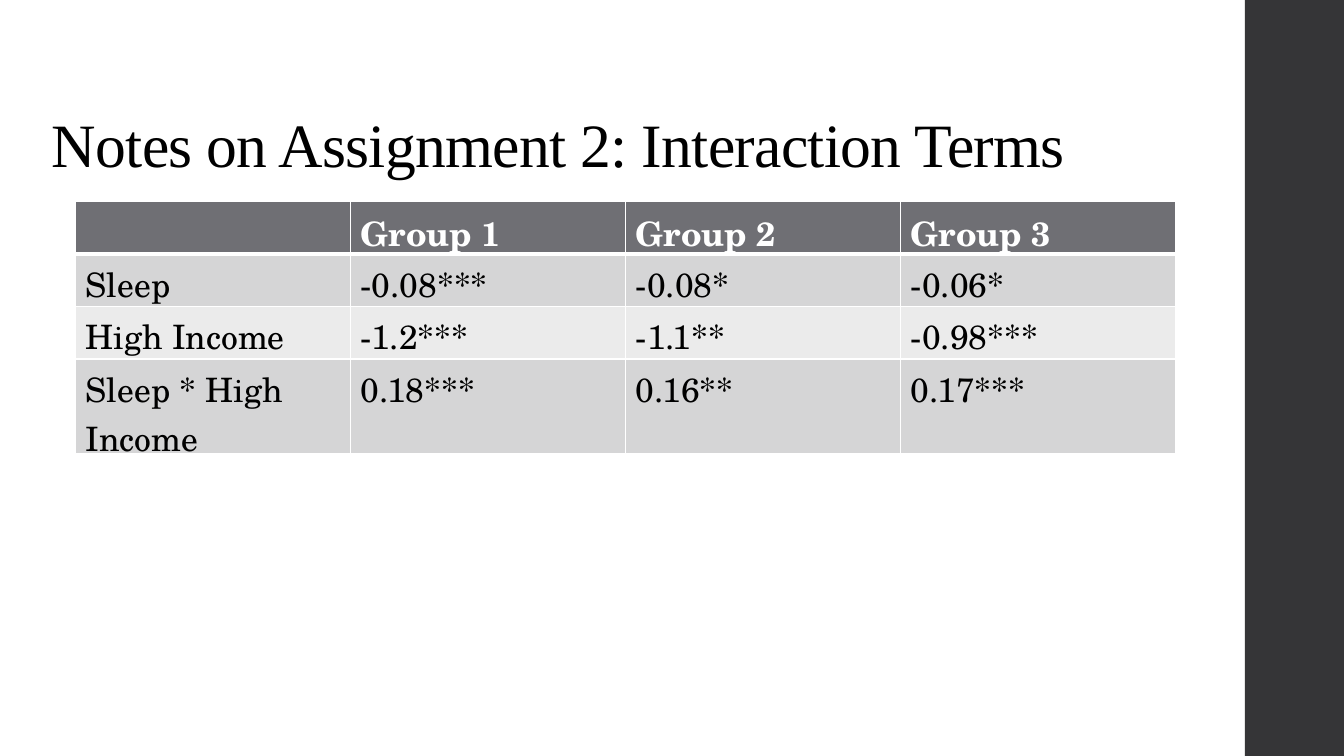
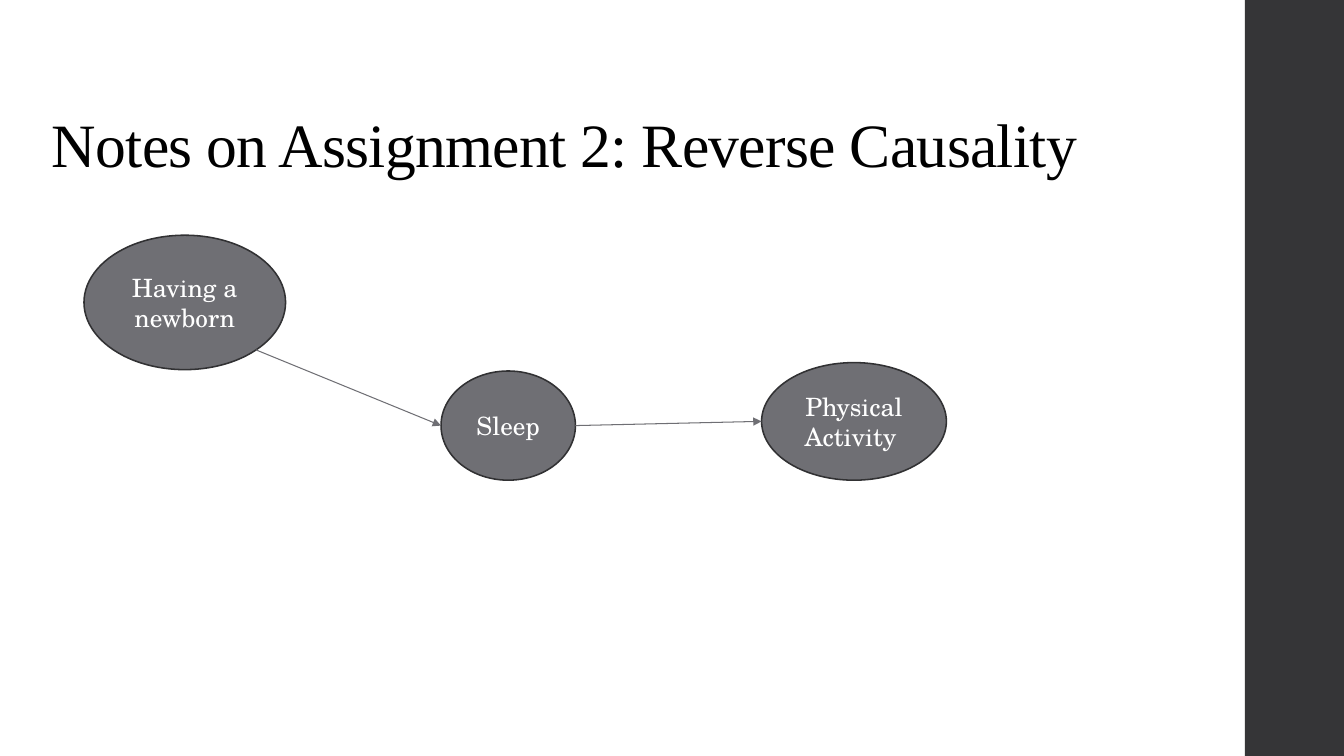
from dataclasses import dataclass
from math import cos, radians, sin

from lxml.etree import SubElement
from pptx import Presentation
from pptx.dml.color import RGBColor
from pptx.enum.shapes import MSO_CONNECTOR, MSO_SHAPE
from pptx.enum.text import MSO_ANCHOR, PP_ALIGN
from pptx.oxml.ns import qn
from pptx.util import Pt

COLORS = {
    "black": "000000",
    "white": "FFFFFF",
    "band": "353537",
    "gray": "6F6F74",
    "outline": "313133",
    "row_dark": "D5D5D6",
    "row_light": "EBEBEB",
}
TITLE_FONT = "Times New Roman"
BODY_FONT = "TeX Gyre Schola"

SLIDE_W, SLIDE_H = 960, 540
BAND_LEFT, BAND_W = 889.2, 72
TABLE_LEFT, TABLE_TOP = 54, 144
COL_W = 196.5
ROW_HEIGHTS = (37.5, 37.5, 37.5, 67.5)

RESULTS = (
    ("", "Group 1", "Group 2", "Group 3"),
    ("Sleep", "-0.08***", "-0.08*", "-0.06*"),
    ("High Income", "-1.2***", "-1.1**", "-0.98***"),
    ("Sleep * High Income", "0.18***", "0.16**", "0.17***"),
)


@dataclass(frozen=True)
class Node:
    text: str
    left: float
    top: float
    width: float
    height: float

    def edge(self, degrees: float) -> tuple:
        a = radians(degrees)
        x = self.left + self.width / 2 * (1 + cos(a))
        y = self.top + self.height / 2 * (1 + sin(a))
        return Pt(x), Pt(y)


@dataclass(frozen=True)
class Arrow:
    start: Node
    start_angle: float
    end: Node
    end_angle: float


SLEEP = Node("Sleep", 315, 265, 96, 78)
ACTIVITY = Node("Physical Activity ", 544, 259, 132, 84)
NEWBORN = Node("Having a newborn", 60, 168, 144, 96)
NODES = (SLEEP, ACTIVITY, NEWBORN)
ARROWS = (Arrow(NEWBORN, 45, SLEEP, 180), Arrow(SLEEP, 0, ACTIVITY, 180))


def rgb(name: str) -> RGBColor:
    return RGBColor.from_string(COLORS[name])


def style(p, size: float, color: str, font: str = BODY_FONT, bold: bool = False) -> None:
    for r in p.runs:
        r.font.name = font
        r.font.size = Pt(size)
        r.font.bold = bold
        r.font.color.rgb = rgb(color)


def add_base_slide(prs, title: str):
    s = prs.slides.add_slide(prs.slide_layouts[6])
    s.background.fill.solid()
    s.background.fill.fore_color.rgb = rgb("white")
    band = s.shapes.add_shape(
        MSO_SHAPE.RECTANGLE, Pt(BAND_LEFT), Pt(0), Pt(BAND_W), Pt(SLIDE_H))
    band.shadow.inherit = False
    band.fill.solid()
    band.fill.fore_color.rgb = rgb("band")
    band.line.fill.background()

    tf = s.shapes.add_textbox(Pt(30), Pt(29), Pt(832), Pt(104)).text_frame
    tf.word_wrap = True
    tf.vertical_anchor = MSO_ANCHOR.BOTTOM
    p = tf.paragraphs[0]
    p.text = title
    p.line_spacing = 0.9
    style(p, 44, "black", TITLE_FONT)
    p.runs[0].font._element.set("spc", "-50")
    return s


def set_borders(cell, top: float, bottom: float) -> None:
    tc_pr = cell._tc.get_or_add_tcPr()
    for side, width in (("L", 1), ("R", 1), ("T", top), ("B", bottom)):
        ln = SubElement(tc_pr, qn(f"a:ln{side}"), w=str(Pt(width)))
        fill = SubElement(ln, qn("a:solidFill"))
        SubElement(fill, qn("a:srgbClr"), val=COLORS["white"])


def add_results_table(s) -> None:
    rows, cols = len(RESULTS), len(RESULTS[0])
    table = s.shapes.add_table(
        rows, cols, Pt(TABLE_LEFT), Pt(TABLE_TOP),
        Pt(COL_W * cols), Pt(sum(ROW_HEIGHTS))).table
    table.horz_banding = False
    for col in table.columns:
        col.width = Pt(COL_W)
    for i, (values, height) in enumerate(zip(RESULTS, ROW_HEIGHTS)):
        table.rows[i].height = Pt(height)
        header = i == 0
        fill = "gray" if header else "row_dark" if i % 2 else "row_light"
        for j, value in enumerate(values):
            cell = table.cell(i, j)
            cell.text_frame.text = value
            style(cell.text_frame.paragraphs[0], 24,
                  "white" if header else "black", bold=header)
            set_borders(cell, 3 if i == 1 else 1, 3 if header else 1)
            cell.fill.solid()
            cell.fill.fore_color.rgb = rgb(fill)


def add_node(s, node: Node) -> None:
    sp = s.shapes.add_shape(
        MSO_SHAPE.OVAL, Pt(node.left), Pt(node.top), Pt(node.width), Pt(node.height))
    sp.shadow.inherit = False
    sp.fill.solid()
    sp.fill.fore_color.rgb = rgb("gray")
    sp.line.color.rgb = rgb("outline")
    sp.line.width = Pt(1.1)
    tf = sp.text_frame
    tf.word_wrap = True
    tf.vertical_anchor = MSO_ANCHOR.MIDDLE
    p = tf.paragraphs[0]
    p.text = node.text
    p.alignment = PP_ALIGN.CENTER
    style(p, 18, "white")


def add_arrow(s, arrow: Arrow) -> None:
    cn = s.shapes.add_connector(
        MSO_CONNECTOR.STRAIGHT,
        *arrow.start.edge(arrow.start_angle), *arrow.end.edge(arrow.end_angle))
    cn.line.color.rgb = rgb("gray")
    cn.line.width = Pt(0.75)
    SubElement(cn.line._get_or_add_ln(), qn("a:tailEnd"), type="triangle")
    SubElement(cn._element.spPr, qn("a:effectLst"))


def main() -> None:
    prs = Presentation()
    prs.slide_width, prs.slide_height = Pt(SLIDE_W), Pt(SLIDE_H)

    add_results_table(add_base_slide(prs, "Notes on Assignment 2: Interaction Terms"))

    s = add_base_slide(prs, "Notes on Assignment 2: Reverse Causality")
    for node in NODES:
        add_node(s, node)
    for arrow in ARROWS:
        add_arrow(s, arrow)

    prs.save("out.pptx")


if __name__ == "__main__":
    main()
